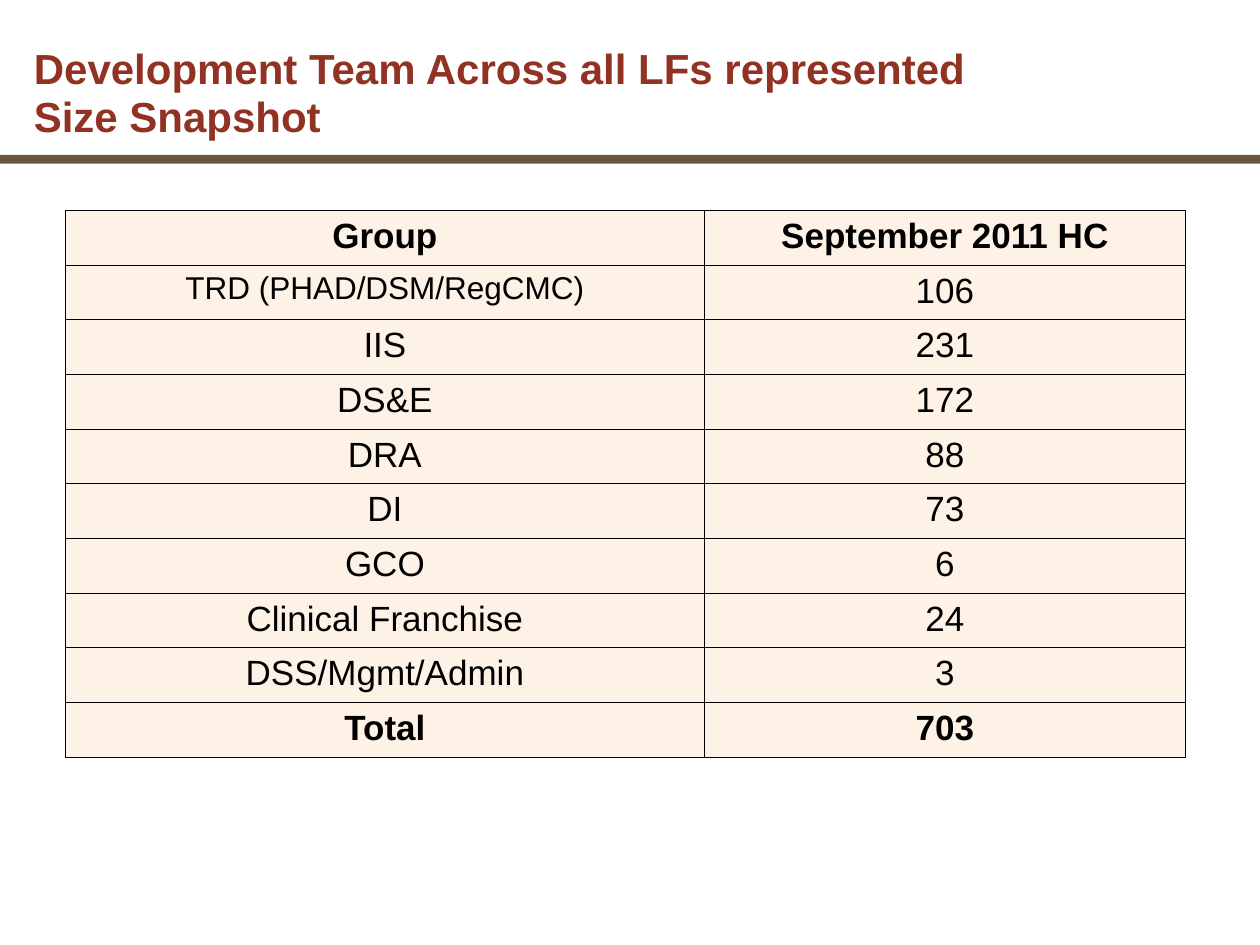
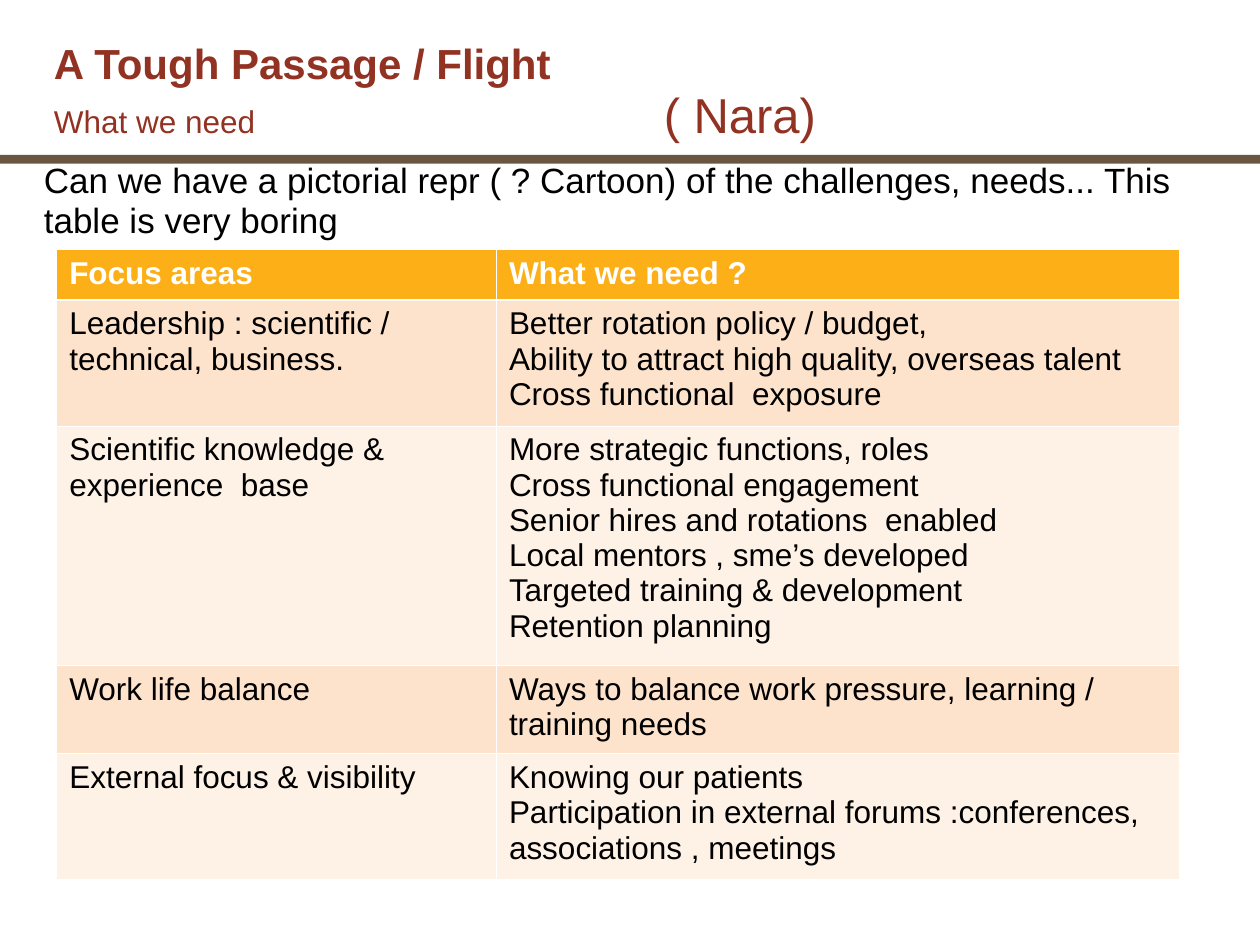
from lxml.etree import SubElement
from pptx import Presentation
from pptx.dml.color import RGBColor
from pptx.enum.shapes import MSO_SHAPE as Shape
from pptx.enum.text import MSO_ANCHOR as Anchor, PP_ALIGN as Align
from pptx.oxml import parse_xml
from pptx.oxml.ns import nsdecls, qn
from pptx.util import Inches, Pt

FONT = "Arial"
BROWN = RGBColor(0x6A, 0x55, 0x40)
RED = RGBColor(0x92, 0x32, 0x22)
ORANGE = RGBColor(0xFC, 0xAF, 0x17)
PEACH = RGBColor(0xFE, 0xE3, 0xCC)
CREAM = RGBColor(0xFE, 0xF2, 0xE7)
BLACK = RGBColor(0, 0, 0)
WHITE = RGBColor(0xFF, 0xFF, 0xFF)
THIN, THICK = 0.45, 1.47

HEADCOUNT = [
    ("Group", "September 2011 HC"),
    ("TRD (PHAD/DSM/RegCMC)", "106"),
    ("IIS", "231"),
    ("DS&E", "172"),
    ("DRA", "88"),
    ("DI", "73"),
    ("GCO", "6"),
    ("Clinical Franchise", "24"),
    ("DSS/Mgmt/Admin", "3"),
    ("Total", "703"),
]
NEEDS = [
    ("Focus areas", "What we need ?"),
    ("Leadership : scientific / technical, business.",
     "Better rotation policy / budget,\n"
     "Ability to attract high quality, overseas talent\n"
     "Cross functional  exposure"),
    ("Scientific knowledge & experience  base",
     "More strategic functions, roles\n"
     "Cross functional engagement\n"
     "Senior hires and rotations  enabled\n"
     "Local mentors , sme’s developed\n"
     "Targeted training & development\n"
     "Retention planning"),
    ("Work life balance",
     "Ways to balance work pressure, learning / training needs"),
    ("External focus & visibility",
     "Knowing our patients\n"
     "Participation in external forums :conferences, associations , meetings"),
]


def style_font(font, size, color, bold=False):
    font.name = FONT
    font.size = Pt(size)
    font.bold = bold
    font.color.rgb = color


def add_slide(presentation):
    slide = presentation.slides.add_slide(presentation.slide_layouts[6])
    band = slide.shapes.add_shape(
        Shape.RECTANGLE, 0, Inches(1.23), Inches(10), Inches(0.07))
    band.shadow.inherit = False
    band.fill.solid()
    band.fill.fore_color.rgb = BROWN
    band.line.fill.background()
    return slide


def add_text(slide, box, lines, color, anchor=Anchor.TOP):
    text_frame = slide.shapes.add_textbox(*map(Inches, box)).text_frame
    text_frame.word_wrap = True
    text_frame.vertical_anchor = anchor
    paragraph = text_frame.paragraphs[0]
    paragraph.line_spacing = 0.95
    for index, line in enumerate(lines):
        if index:
            paragraph.add_line_break()
        for text, size, bold in line:
            run = paragraph.add_run()
            run.text = text
            style_font(run.font, size, color, bold)
    return paragraph


def add_tab_stop(paragraph, position):
    tabs = SubElement(paragraph._p.get_or_add_pPr(), qn("a:tabLst"))
    SubElement(tabs, qn("a:tab"), pos=str(Inches(position)), algn="l")


def set_borders(cell, color, top=THIN, bottom=THIN):
    widths = {"lnL": THIN, "lnR": THIN, "lnT": top, "lnB": bottom}
    for index, (side, width) in enumerate(widths.items()):
        cell._tc.get_or_add_tcPr().insert(index, parse_xml(
            f'<a:{side} {nsdecls("a")} w="{Pt(width)}"><a:solidFill>'
            f'<a:srgbClr val="{color}"/></a:solidFill></a:{side}>'))


def fill_cell(cell, text, fill, size, color, bold, align=Align.LEFT):
    cell.fill.solid()
    cell.fill.fore_color.rgb = fill
    cell.text_frame.text = text
    for paragraph in cell.text_frame.paragraphs:
        paragraph.alignment = align
        for run in paragraph.runs:
            style_font(run.font, size, color, bold)


def add_table(slide, left, top, widths, heights):
    table = slide.shapes.add_table(
        len(heights), len(widths), Inches(left), Inches(top),
        Inches(sum(widths)), Inches(sum(heights))).table
    for column, width in zip(table.columns, widths):
        column.width = Inches(width)
    for row, height in zip(table.rows, heights):
        row.height = Inches(height)
    return table


def add_headcount_table(slide):
    last = len(HEADCOUNT) - 1
    table = add_table(slide, 0.52, 1.67, (5.07, 3.82), [0.43] * len(HEADCOUNT))
    for row, texts in enumerate(HEADCOUNT):
        for column, text in enumerate(texts):
            cell = table.cell(row, column)
            cell.margin_left = cell.margin_right = Inches(0.01)
            size = 18 if (row, column) == (1, 0) else 20
            fill_cell(cell, text, CREAM, size, BLACK, row in (0, last), Align.CENTER)
            set_borders(cell, BLACK)


def add_needs_table(slide):
    table = add_table(slide, 0.45, 1.98, (3.49, 5.42), (0.4, 1, 1.9, 0.7, 1))
    for row, texts in enumerate(NEEDS):
        header = row == 0
        fill = ORANGE if header else (CREAM, PEACH)[row % 2]
        for column, text in enumerate(texts):
            cell = table.cell(row, column)
            fill_cell(cell, text, fill, 18, WHITE if header else BLACK, header)
            set_borders(cell, WHITE, top=THICK if row == 1 else THIN,
                        bottom=THICK if header else THIN)


def main():
    presentation = Presentation()
    presentation.slide_width = Inches(10)
    presentation.slide_height = Inches(7.5)

    snapshot = add_slide(presentation)
    add_text(snapshot, (0.17, 0.31, 9.75, 0.87),
             [[("Development Team Across all LFs represented", 24, True)],
              [("Size Snapshot", 24, True)]], RED, Anchor.BOTTOM)
    add_headcount_table(snapshot)

    passage = add_slide(presentation)
    title = add_text(passage, (0.33, 0.27, 9.07, 0.93),
                     [[("A Tough Passage / Flight", 24, True)],
                      [("What we need\t", 18, False), ("( Nara)", 28, False)]],
                     RED, Anchor.BOTTOM)
    add_tab_stop(title, 4.84)
    add_text(passage, (0.25, 1.23, 9.27, 0.74),
             [[("Can we have a pictorial repr ( ? Cartoon) of the challenges, "
                "needs... This table is very boring", 20, False)]], BLACK)
    add_needs_table(passage)

    presentation.save("out.pptx")


if __name__ == "__main__":
    main()
